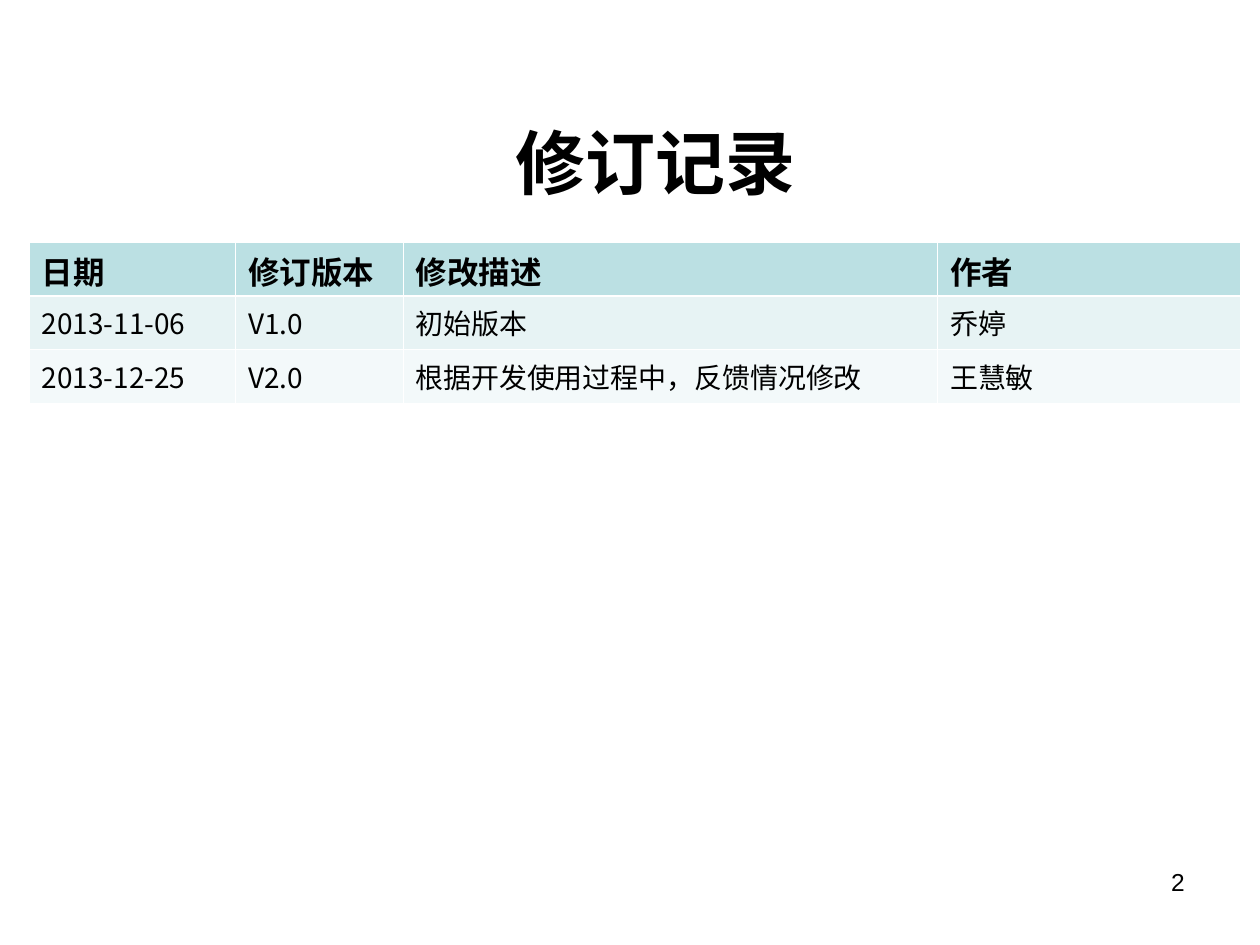
from dataclasses import dataclass

from lxml.etree import SubElement
from pptx import Presentation
from pptx.dml.color import RGBColor
from pptx.enum.text import MSO_ANCHOR as Anchor, PP_ALIGN as Align
from pptx.oxml.ns import qn
from pptx.util import Pt


@dataclass(frozen=True)
class Theme:
    latin: str = "Arial"
    cjk: str = "Noto Sans CJK SC"
    text: str = "000000"
    border: str = "FFFFFF"
    title_size: float = 40
    header_size: float = 18
    body_size: float = 16
    number_size: float = 14
    thin: float = 0.45
    thick: float = 1.47


@dataclass(frozen=True)
class Box:
    left: float
    top: float
    width: float
    height: float

    def lengths(self) -> tuple:
        return Pt(self.left), Pt(self.top), Pt(self.width), Pt(self.height)


@dataclass(frozen=True)
class Row:
    texts: tuple[str, ...]
    fill: str
    is_header: bool = False


THEME = Theme()
COLUMN_WIDTHS = (118, 95.5, 305.5, 173)
ROW_HEIGHT = 30.75
TABLE_LEFT, TABLE_TOP = 16.75, 138.25
ROWS = (
    Row(("日期", "修订版本", "修改描述", "作者"), "BBE0E3", True),
    Row(("2013-11-06", "V1.0", "初始版本", "乔婷"), "E7F3F4"),
    Row(("2013-12-25", "V2.0", "根据开发使用过程中，反馈情况修改", "王慧敏"), "F3F9FA"),
)


def add_run(p, text: str, size: float, font: str, bold: bool = False) -> None:
    r = p.add_run()
    r.text = text
    r.font.size = Pt(size)
    r.font.name = font
    r.font.bold = bold
    r.font.color.rgb = RGBColor.from_string(THEME.text)
    SubElement(r.font._element, qn("a:ea"), typeface=THEME.cjk)


def add_text(s, box: Box, text: str, size: float, align: Align,
             anchor: Anchor = Anchor.TOP, bold: bool = False) -> None:
    tf = s.shapes.add_textbox(*box.lengths()).text_frame
    tf.word_wrap = True
    tf.vertical_anchor = anchor
    p = tf.paragraphs[0]
    p.alignment = align
    add_run(p, text, size, THEME.latin, bold)
    if anchor == Anchor.MIDDLE:
        tf.margin_left = tf.margin_right = tf.margin_top = tf.margin_bottom = 0


def set_borders(cell, top: float, bottom: float) -> None:
    """Draw the four cell borders; they must precede the fill in the XML."""
    tc_pr = cell._tc.get_or_add_tcPr()
    widths = {"a:lnL": THEME.thin, "a:lnR": THEME.thin, "a:lnT": top, "a:lnB": bottom}
    for tag, width in widths.items():
        ln = SubElement(tc_pr, qn(tag), w=str(Pt(width)))
        fill = SubElement(ln, qn("a:solidFill"))
        SubElement(fill, qn("a:srgbClr"), val=THEME.border)


def add_revision_table(s, rows: tuple[Row, ...]) -> None:
    box = Box(TABLE_LEFT, TABLE_TOP, sum(COLUMN_WIDTHS), ROW_HEIGHT * len(rows))
    table = s.shapes.add_table(len(rows), len(COLUMN_WIDTHS), *box.lengths()).table
    for column, width in zip(table.columns, COLUMN_WIDTHS):
        column.width = Pt(width)
    for i, row in enumerate(rows):
        table.rows[i].height = Pt(ROW_HEIGHT)
        top = THEME.thick if i > 0 and rows[i - 1].is_header else THEME.thin
        bottom = THEME.thick if row.is_header else THEME.thin
        size = THEME.header_size if row.is_header else THEME.body_size
        for cell, text in zip(table.rows[i].cells, row.texts):
            set_borders(cell, top, bottom)
            cell.fill.solid()
            cell.fill.fore_color.rgb = RGBColor.from_string(row.fill)
            add_run(cell.text_frame.paragraphs[0], text, size, THEME.cjk, row.is_header)


def main() -> None:
    prs = Presentation()
    prs.slide_width, prs.slide_height = Pt(720), Pt(540)
    s = prs.slides.add_slide(prs.slide_layouts[6])
    add_text(s, Box(50.5, 67, 648, 51), "修订记录", THEME.title_size,
             Align.CENTER, Anchor.MIDDLE, bold=True)
    add_text(s, Box(516, 492, 168, 37.5), "2", THEME.number_size, Align.RIGHT)
    add_revision_table(s, ROWS)
    prs.save("out.pptx")


if __name__ == "__main__":
    main()
